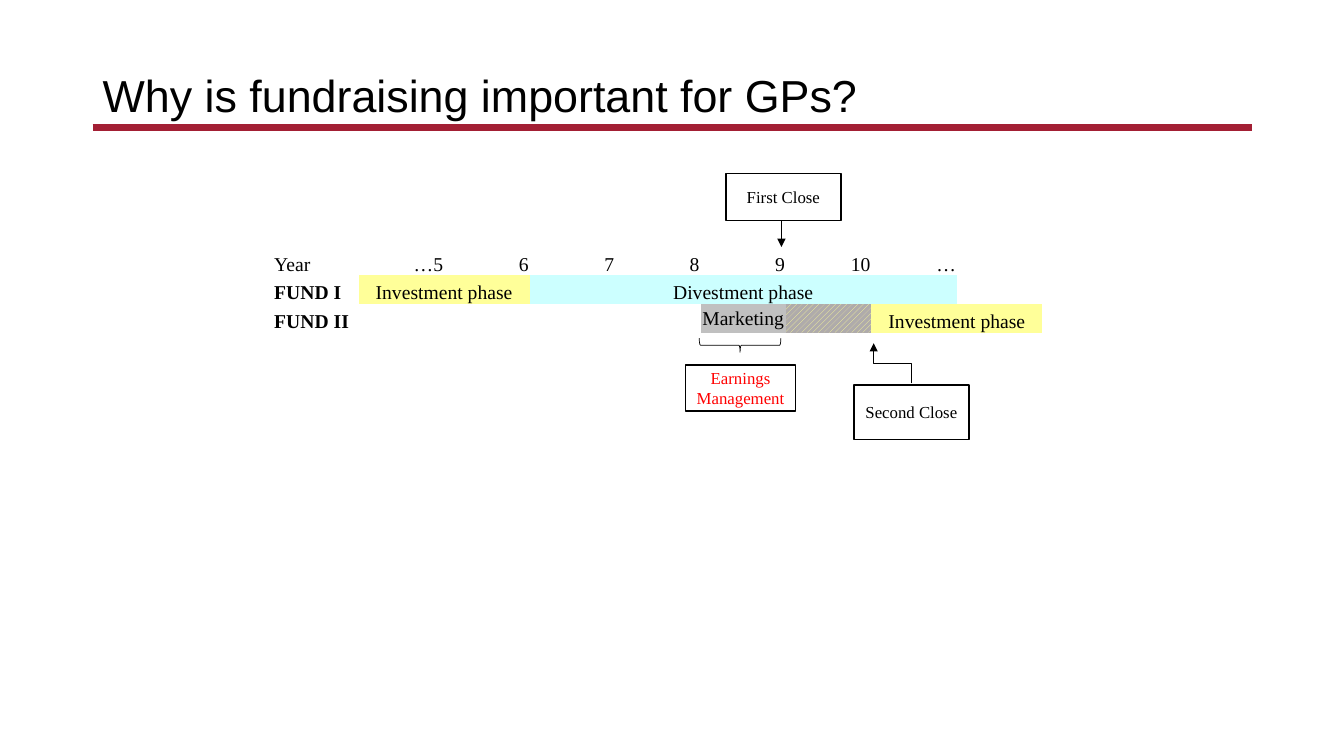
import pptx
import pptx.util
import pptx.dml.color
import pptx.enum.dml
import pptx.enum.shapes
import pptx.enum.text
import pptx.oxml
import pptx.oxml.ns
import lxml.etree

Inches, Pt = pptx.util.Inches, pptx.util.Pt
RGB = pptx.dml.color.RGBColor.from_string
SHAPE = pptx.enum.shapes.MSO_SHAPE
CONNECTOR = pptx.enum.shapes.MSO_CONNECTOR
ANCHOR = pptx.enum.text.MSO_ANCHOR
ALIGN = pptx.enum.text.PP_ALIGN
qn = pptx.oxml.ns.qn

COLORS = {
    "black": "000000", "white": "FFFFFF", "red": "FF0000", "rule": "A31F34",
    "yellow": "FFFF99", "cyan": "CCFFFF", "silver": "C0C0C0", "gray": "AFABAB",
}
SERIF = "Times New Roman"


def add_line(kind, start, end, width, color="black", arrow=False):
    c = s.shapes.add_connector(kind, *map(Inches, start + end))
    c.line.color.rgb = RGB(COLORS[color])
    c.line.width = Pt(width)
    if arrow:
        lxml.etree.SubElement(c.line._get_or_add_ln(), qn("a:tailEnd"), type="triangle")
    lxml.etree.SubElement(c._element.spPr, qn("a:effectLst"))
    return c


def style_paragraph(p, text, size, font=SERIF, color="black", align=ALIGN.CENTER, bold=False):
    p.text = text
    p.alignment = align
    p.font.size = Pt(size)
    p.font.name = font
    p.font.bold = bold
    p.font.color.rgb = RGB(COLORS[color])


prs = pptx.Presentation()
prs.slide_width, prs.slide_height = Inches(13.33), Inches(7.5)
s = prs.slides.add_slide(prs.slide_layouts[6])

# Title and rule
add_line(CONNECTOR.STRAIGHT, (0.92, 1.27), (12.42, 1.27), 5, "rule")
title = s.shapes.add_textbox(Inches(0.92), Inches(0.4), Inches(11.5), Inches(0.86))
tf = title.text_frame
tf.word_wrap = True
tf.vertical_anchor = ANCHOR.BOTTOM
style_paragraph(tf.paragraphs[0], "Why is fundraising important for GPs?", 32, "Arial",
                align=ALIGN.LEFT)
tf.paragraphs[0].line_spacing = 0.9

# Timeline table
frame = s.shapes.add_table(3, 9, Inches(2.71), Inches(2.45), Inches(7.63), Inches(0.85))
table = frame.table
table.first_row = table.horz_banding = False
NO_STYLE_NO_GRID = "{2D5ABB26-0587-4C30-8999-92F81FD0307C}"
table._tbl.tblPr.find(qn("a:tableStyleId")).text = NO_STYLE_NO_GRID

labels = [
    ["Year", "…5", "6", "7", "8", "9", "10", "…", ""],
    ["FUND I", "Investment phase", "", "Divestment phase", "", "", "", "", ""],
    ["FUND II", "", "", "", "", "Marketing", "", "Investment phase", ""],
]
for row, texts in enumerate(labels):
    for col, text in enumerate(texts):
        cell = table.cell(row, col)
        cell.margin_left = cell.margin_right = cell.margin_top = Inches(0.01)
        cell.margin_bottom = 0
        cell.vertical_anchor = ANCHOR.MIDDLE if text == "Marketing" else ANCHOR.BOTTOM
        cell.fill.background()
        align = ALIGN.LEFT if col == 0 else ALIGN.RIGHT if row == 0 else ALIGN.CENTER
        style_paragraph(cell.text_frame.paragraphs[0], text, 14, align=align,
                        bold=row > 0 and col == 0)

# Phases: row, first column, last column, fill
for row, first, last, color in [(1, 1, 2, "yellow"), (1, 3, 7, "cyan"),
                                (2, 5, 5, "silver"), (2, 7, 8, "yellow")]:
    cell = table.cell(row, first)
    if last > first:
        cell.merge(table.cell(row, last))
    cell.fill.solid()
    cell.fill.fore_color.rgb = RGB(COLORS[color])

between_closes = table.cell(2, 6).fill
between_closes.patterned()
between_closes.pattern = pptx.enum.dml.MSO_PATTERN.WIDE_UPWARD_DIAGONAL
between_closes.fore_color.rgb = RGB(COLORS["yellow"])
between_closes.back_color.rgb = RGB(COLORS["gray"])

# Callouts
for text, box, color in [
    ("First Close", (7.2, 1.72, 1.14, 0.47), "black"),
    ("Second Close", (8.47, 3.82, 1.14, 0.54), "black"),
    ("Earnings Management", (6.8, 3.62, 1.09, 0.46), "red"),
]:
    sp = s.shapes.add_shape(SHAPE.RECTANGLE, *map(Inches, box))
    sp.shadow.inherit = False
    sp.fill.solid()
    sp.fill.fore_color.rgb = RGB(COLORS["white"])
    sp.line.color.rgb = RGB(COLORS["black"])
    sp.line.width = Pt(1)
    tf = sp.text_frame
    tf.word_wrap = True
    tf.vertical_anchor = ANCHOR.MIDDLE
    style_paragraph(tf.paragraphs[0], text, 12, color=color)

add_line(CONNECTOR.STRAIGHT, (7.75, 2.19), (7.75, 2.45), 0.5, arrow=True)

# Turned a quarter left, so it leaves the Second Close box upwards
elbow = add_line(CONNECTOR.ELBOW, (8.65, 3.79), (9.05, 3.42), 0.5, arrow=True)
elbow._element.spPr.find(qn("a:xfrm")).set("rot", str(270 * 60000))

brace = s.shapes.add_shape(SHAPE.RIGHT_BRACE, Inches(7.27), Inches(3.02), Inches(0.14), Inches(0.81))
brace.rotation = 90
brace.shadow.inherit = False
brace.fill.background()
brace.line.color.rgb = RGB(COLORS["black"])
brace.line.width = Pt(0.5)

prs.save("out.pptx")
